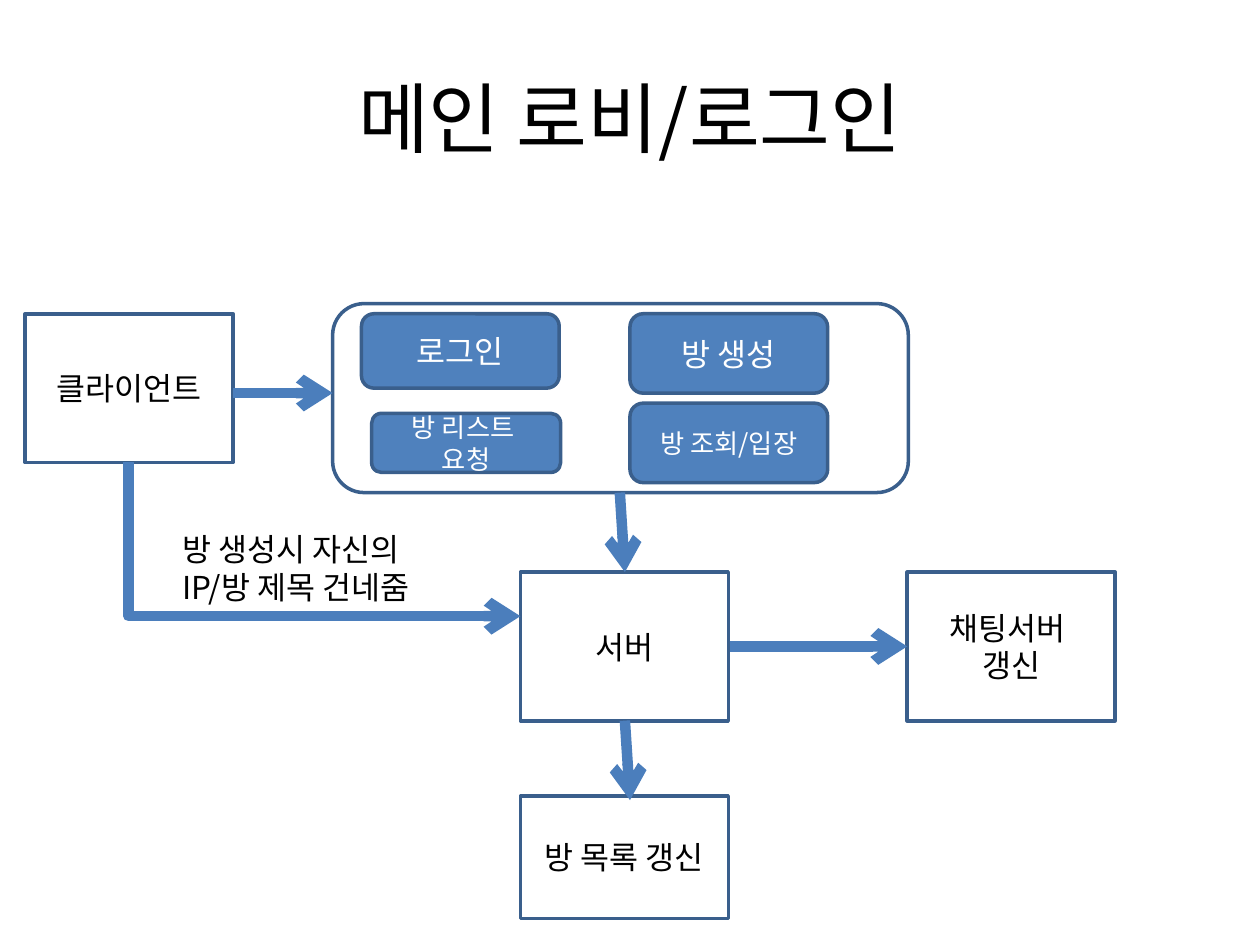
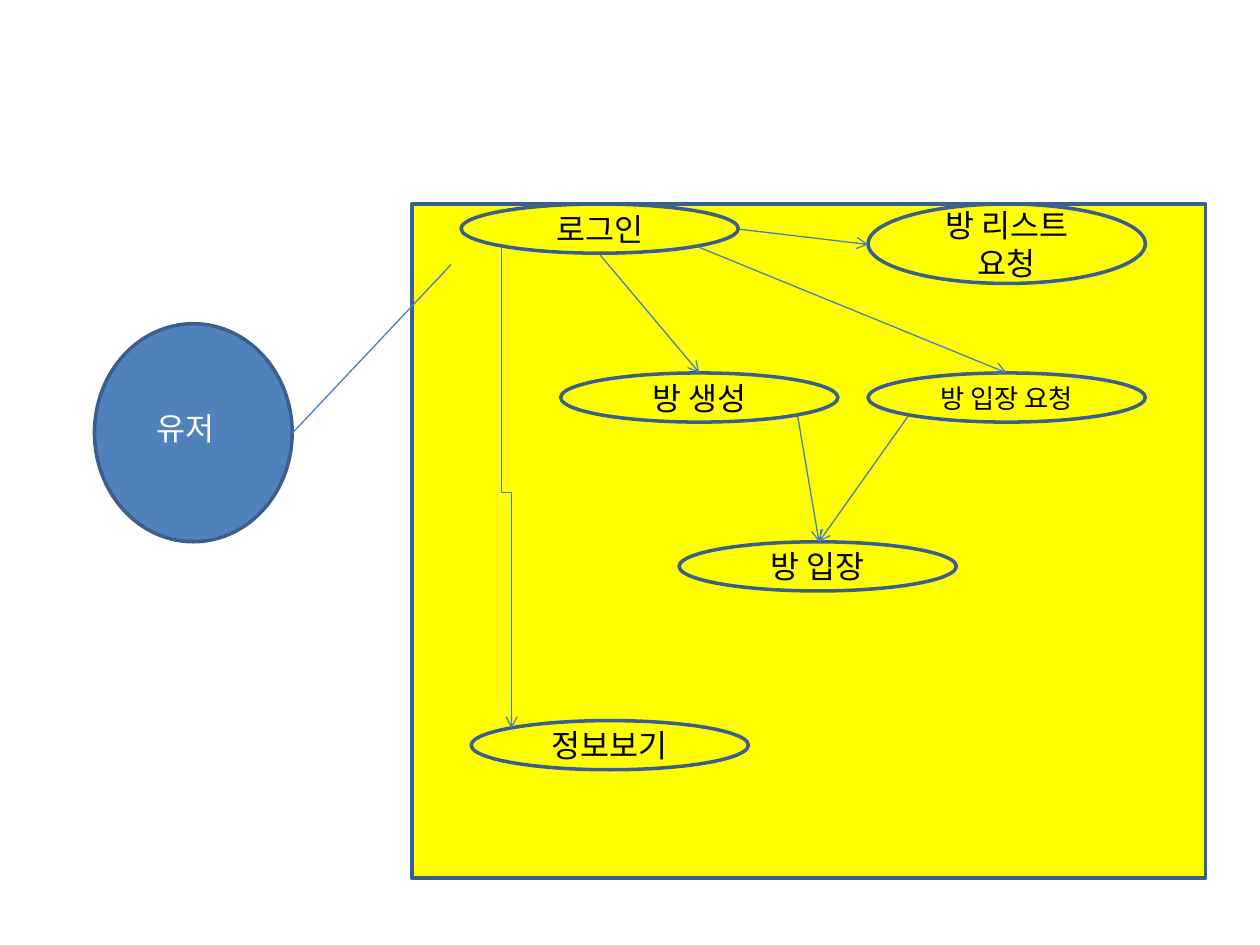
import pptx
import pptx.util
import pptx.dml.color
import pptx.enum.shapes
import pptx.enum.text
import pptx.oxml.ns
import pptx.oxml.xmlchemy

Pt = pptx.util.Pt
SHAPE = pptx.enum.shapes.MSO_SHAPE
CONNECTOR = pptx.enum.shapes.MSO_CONNECTOR
ALIGN = pptx.enum.text.PP_ALIGN
ANCHOR = pptx.enum.text.MSO_ANCHOR
qn = pptx.oxml.ns.qn

FONT = "Noto Sans CJK KR"
BLACK, WHITE, YELLOW = "000000", "FFFFFF", "FFFF00"
BLUE, OUTLINE, ARROW = "4F81BD", "3A5F8C", "4B7EBC"
BOX_W, BOX_H = 118.8, 85
OVAL_W, OVAL_H = 158.4, 28.1


def rgb(value):
    """Turn a hex string into a colour."""
    return pptx.dml.color.RGBColor.from_string(value)


def child(parent, tag, **attrs):
    """Append a drawing element and return it."""
    el = pptx.oxml.xmlchemy.OxmlElement(tag)
    for name, value in attrs.items():
        el.set(name, value)
    parent.append(el)
    return el


def write(sp, text, size=18, color=BLACK, align=ALIGN.CENTER, anchor=ANCHOR.MIDDLE):
    """Write lines of text into a shape, one paragraph per line."""
    tf = sp.text_frame
    tf.word_wrap = True
    tf.vertical_anchor = anchor
    for i, line in enumerate(text.split("\n")):
        p = tf.add_paragraph() if i else tf.paragraphs[0]
        p.alignment = align
        r = p.add_run()
        r.text = line
        r.font.name = FONT
        r.font.size = Pt(size)
        r.font.color.rgb = rgb(color)
        child(r._r.get_or_add_rPr(), "a:ea", typeface=FONT)


def label(s, x, y, w, h, text, **style):
    """Place a text box."""
    write(s.shapes.add_textbox(Pt(x), Pt(y), Pt(w), Pt(h)), text, **style)


def node(s, kind, x, y, w, h, text="", fill=None, **style):
    """Place an outlined shape, filled if a colour is given."""
    sp = s.shapes.add_shape(kind, Pt(x), Pt(y), Pt(w), Pt(h))
    sp.shadow.inherit = False
    if fill:
        sp.fill.solid()
        sp.fill.fore_color.rgb = rgb(fill)
    else:
        sp.fill.background()
    sp.line.color.rgb = rgb(OUTLINE)
    sp.line.width = Pt(2)
    if text:
        write(sp, text, **style)


def link(s, x1, y1, x2, y2, width=0.75, head=True, kind=CONNECTOR.STRAIGHT):
    """Draw a connector, with an open arrowhead by default."""
    c = s.shapes.add_connector(kind, Pt(x1), Pt(y1), Pt(x2), Pt(y2))
    c.line.color.rgb = rgb(ARROW)
    c.line.width = Pt(width)
    if head:
        child(c._element.spPr.find(qn("a:ln")), "a:tailEnd", type="arrow")
    child(c._element.spPr, "a:effectLst")
    return c


def elbow(s, x1, y1, x2, y2, preset, adjust=None, **style):
    """Draw a bent arrow that leaves downwards."""
    w, h = y2 - y1, x2 - x1
    left, top = (x1 + x2 - w) / 2, (y1 + y2 - h) / 2
    c = link(s, left, top, left + w, top + h, kind=CONNECTOR.ELBOW, **style)
    xfrm = c._element.spPr.find(qn("a:xfrm"))
    xfrm.set("rot", "16200000")
    xfrm.set("flipH", "1")
    geom = c._element.spPr.find(qn("a:prstGeom"))
    geom.set("prst", preset)
    if adjust:
        child(geom.find(qn("a:avLst")), "a:gd", name="adj1", fmla=f"val {adjust}")


def request_panel(s, x, y):
    """Draw the rounded panel of client requests."""
    node(s, SHAPE.ROUNDED_RECTANGLE, x, y, 329, 108)
    for dx, dy, w, h, text, size in (
        (16.5, 5.8, 113, 42.5, "로그인", 18),
        (169.9, 5.8, 113, 45.4, "방 생성", 18),
        (22.3, 62.7, 108, 33.8, "방 리스트 \n요청", 15),
        (169.9, 56.9, 113, 45.4, "방 조회/입장", 15),
    ):
        node(s, SHAPE.ROUNDED_RECTANGLE, x + dx, y + dy, w, h, text,
             fill=BLUE, size=size, color=WHITE)


def lobby_flow(s, x, y):
    """Draw the flow from client to server and its updates."""
    request_panel(s, x + 175.7, y)
    for dx, dy, h, text in (
        (0, 5.8, BOX_H, "클라이언트"),
        (283, 153.4, BOX_H, "서버"),
        (504, 153.4, BOX_H, "채팅서버 \n갱신"),
        (283, 281.5, 69.8, "방 목록 갱신"),
    ):
        node(s, SHAPE.RECTANGLE, x + dx, y + dy, BOX_W, h, text)
    label(s, x + 82.8, y + 126, 190, 51, "방 생성시 자신의 \nIP/방 제목 건네줌",
          align=ALIGN.LEFT, anchor=ANCHOR.TOP)
    for x1, y1, x2, y2 in (
        (118.8, 51.1, 175.7, 51.1),
        (339.8, 108, 342.7, 153.4),
        (402.5, 195.9, 504, 195.9),
        (342.7, 238.3, 345.6, 283.7),
    ):
        link(s, x + x1, y + y1, x + x2, y + y2, width=6)
    elbow(s, x + 59, y + 90.7, x + 283, y + 178.6, "bentConnector2", width=6)


def user(s, x, y):
    """Draw the user circle and its line to the system."""
    node(s, SHAPE.OVAL, x, y, 113, 124.6, fill=BLUE)
    label(s, x + 28.1, y + 45.4, 85, 28.8, "유저", color=WHITE,
          align=ALIGN.LEFT, anchor=ANCHOR.TOP)
    link(s, x + 113, y + 62.6, x + 203.8, y - 33.8, head=False)


def use_cases(s, x, y):
    """Draw the system box with its use cases."""
    node(s, SHAPE.RECTANGLE, x, y, 453.6, 385.2, fill=YELLOW)
    for dx, dy, h, text, size in (
        (28.1, 0, OVAL_H, "로그인", 18),
        (85, 96.5, OVAL_H, "방 생성", 18),
        (260.7, 0, 45.4, "방 리스트 요청", 18),
        (260.7, 96.5, OVAL_H, "방 입장 요청", 15),
        (152.7, 193, OVAL_H, "방 입장", 18),
        (33.9, 295.2, OVAL_H, "정보보기", 18),
    ):
        node(s, SHAPE.OVAL, x + dx, y + dy, OVAL_W, h, text, size=size)
    for x1, y1, x2, y2 in (
        (187.2, 14.4, 260.7, 23.1),
        (107.3, 28.8, 164.2, 96.5),
        (163.5, 24.5, 339.9, 96.5),
        (220.4, 121, 232.6, 193),
        (283.7, 121, 232.6, 193),
    ):
        link(s, x + x1, y + y1, x + x2, y + y2)
    elbow(s, x + 51.2, y + 24.5, x + 56.9, y + 299.6, "bentConnector3", adjust=51000)


def main():
    """Build both slides and save them."""
    prs = pptx.Presentation()
    prs.slide_width, prs.slide_height = Pt(720), Pt(540)
    blank = prs.slide_layouts[6]

    s = prs.slides.add_slide(blank)
    label(s, 36, 21.6, 648, 90, "메인 로비/로그인", size=44)
    lobby_flow(s, 14.4, 173.5)

    s = prs.slides.add_slide(blank)
    use_cases(s, 235.4, 116.6)
    user(s, 54, 185)

    prs.save("out.pptx")


main()
